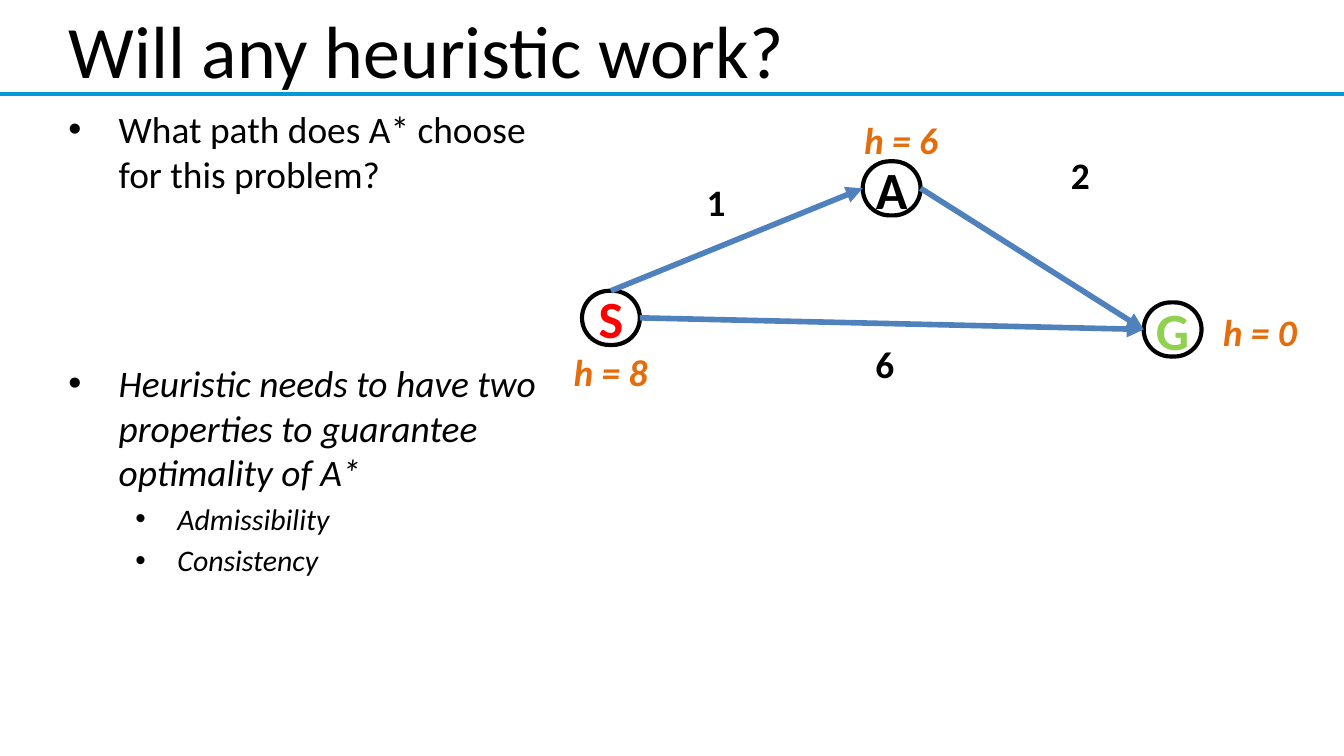
from lxml import etree
from pptx import Presentation
from pptx.dml.color import RGBColor
from pptx.enum.shapes import MSO_CONNECTOR, MSO_SHAPE
from pptx.enum.text import MSO_ANCHOR, MSO_AUTO_SIZE, PP_ALIGN
from pptx.oxml.ns import qn
from pptx.util import Pt

STRAIGHT = MSO_CONNECTOR.STRAIGHT
ROUNDED = MSO_SHAPE.ROUNDED_RECTANGLE
MIDDLE = MSO_ANCHOR.MIDDLE
NO_FIT = MSO_AUTO_SIZE.NONE
LEFT, CENTER = PP_ALIGN.LEFT, PP_ALIGN.CENTER

FONT = "Calibri"
BLACK, RED, GREEN = "000000", "FF0000", "92D050"
ORANGE, RULE_BLUE, EDGE_BLUE = "E46C0A", "009ADA", "4F81BD"
TOP_SITE, LEFT_SITE, RIGHT_SITE = 0, 1, 3
NODE_WIDTH, NODE_HEIGHT = 31, 29


def rgb(color):
    """Turn a hex string into a colour."""
    return RGBColor.from_string(color)


def style(font, size, color=BLACK, bold=False, italic=False):
    """Set the look of a font."""
    font.name, font.size = FONT, Pt(size)
    font.bold, font.italic = bold, italic
    font.color.rgb = rgb(color)


def add_title(slide, text):
    """Fill and place the title."""
    title = slide.shapes.title
    title.left, title.top, title.width, title.height = Pt(29.5), Pt(8), Pt(648), Pt(36.7)
    frame = title.text_frame
    frame.text = text
    frame.auto_size, frame.vertical_anchor = NO_FIT, MIDDLE
    frame.paragraphs[0].alignment = LEFT
    style(frame.paragraphs[0].font, 39.6)


def add_bullets(slide, items):
    """Add the bulleted points as (text, level, space before, italic)."""
    frame = slide.shapes.add_textbox(Pt(29.5), Pt(53.3), Pt(266.4), Pt(291)).text_frame
    frame.word_wrap = True
    for index, (text, level, space, italic) in enumerate(items):
        point = frame.paragraphs[0] if index == 0 else frame.add_paragraph()
        point.text, point.level, point.space_before = text, level, Pt(space)
        margin, indent, size = ((27, -27, 20), (58.5, -22.5, 16))[level]
        properties = point._p.get_or_add_pPr()
        properties.set("marL", str(Pt(margin)))
        properties.set("indent", str(Pt(indent)))
        etree.SubElement(properties, qn("a:buFont"), typeface="Arial")
        etree.SubElement(properties, qn("a:buChar"), char="•")
        style(point.font, size, italic=italic)


def add_node(slide, name, left, top, color):
    """Add a graph node with its letter."""
    node = slide.shapes.add_shape(ROUNDED, Pt(left), Pt(top), Pt(NODE_WIDTH), Pt(NODE_HEIGHT))
    node.adjustments[0] = 0.5
    node.shadow.inherit = False
    node.fill.background()
    node.line.color.rgb, node.line.width = rgb(BLACK), Pt(2.25)
    frame = node.text_frame
    frame.text = name
    frame.word_wrap, frame.vertical_anchor = False, MIDDLE
    frame.paragraphs[0].alignment = CENTER
    style(frame.paragraphs[0].font, 28, color, bold=True)
    return node


def add_label(slide, text, left, top, width, color=BLACK, italic=False, align=LEFT):
    """Add an edge cost or a heuristic value."""
    frame = slide.shapes.add_textbox(Pt(left), Pt(top), Pt(width), Pt(31.5)).text_frame
    frame.text = text
    frame.word_wrap = True
    frame.paragraphs[0].alignment = align
    style(frame.paragraphs[0].font, 20, color, bold=True, italic=italic)


def add_line(slide, color, width, end_x=0, y=0):
    """Add a plain horizontal line from the left edge."""
    line = slide.shapes.add_connector(STRAIGHT, Pt(0), Pt(y), Pt(end_x), Pt(y))
    line.line.color.rgb, line.line.width = rgb(color), Pt(width)
    etree.SubElement(line._element.spPr, qn("a:effectLst"))
    return line


def add_edge(slide, start, start_site, goal):
    """Add an arrow from one node to the left side of another."""
    edge = add_line(slide, EDGE_BLUE, 3)
    edge.begin_connect(start, start_site)
    edge.end_connect(goal, LEFT_SITE)
    etree.SubElement(edge.line._get_or_add_ln(), qn("a:tailEnd"), type="triangle")


def main():
    """Build the slide."""
    deck = Presentation()
    deck.slide_width, deck.slide_height = Pt(720), Pt(405)
    slide = deck.slides.add_slide(deck.slide_layouts[5])
    add_line(slide, RULE_BLUE, 2, end_x=720, y=50.4)
    add_title(slide, "Will any heuristic work?")
    add_bullets(slide, [
        ("What path does A* choose for this problem?", 0, 0, False),
        ("Heuristic needs to have two properties to guarantee optimality of A*", 0, 88, True),
        ("Admissibility", 1, 3.2, True),
        ("Consistency", 1, 3.2, True),
    ])

    middle = add_node(slide, "A", 462.2, 86.4, BLACK)
    goal = add_node(slide, "G", 612.7, 162, GREEN)
    start = add_node(slide, "S", 311.8, 155.8, RED)

    add_label(slide, "1", 371.5, 92.2, 23)
    add_label(slide, "2", 566.6, 77.8, 23)
    add_label(slide, "6", 428.4, 179.3, 91.4, align=CENTER)
    for text, left, top in (("h = 0", 648, 162), ("h = 8", 300.2, 183.6), ("h = 6", 455.8, 59)):
        add_label(slide, text, left, top, 72, ORANGE, italic=True)

    add_edge(slide, start, TOP_SITE, middle)
    add_edge(slide, middle, RIGHT_SITE, goal)
    add_edge(slide, start, RIGHT_SITE, goal)
    deck.save("out.pptx")


if __name__ == "__main__":
    main()
